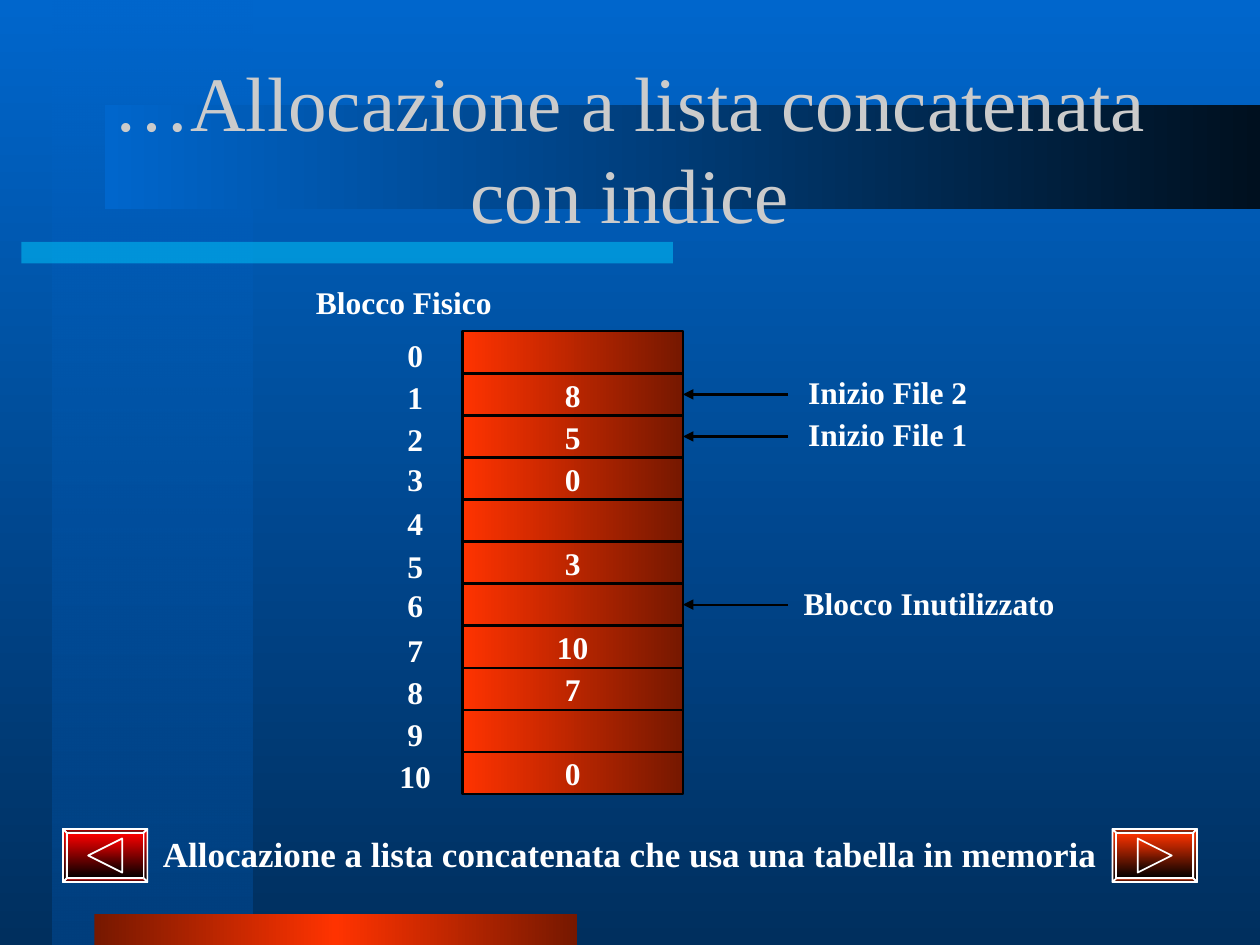
from lxml import etree
from pptx import Presentation
from pptx.dml.color import RGBColor
from pptx.enum.shapes import MSO_CONNECTOR, MSO_SHAPE
from pptx.enum.text import MSO_ANCHOR, MSO_AUTO_SIZE, PP_ALIGN
from pptx.oxml.ns import qn
from pptx.util import Inches, Pt

RECT = MSO_SHAPE.RECTANGLE
STRAIGHT = MSO_CONNECTOR.STRAIGHT
MIDDLE = MSO_ANCHOR.MIDDLE
NO_AUTOSIZE = MSO_AUTO_SIZE.NONE
CENTER = PP_ALIGN.CENTER

FONT = "Times New Roman"
WHITE, BLACK, GRAY = "FFFFFF", "000000", "CBCBCB"
BLUE, RED, DARK_RED = "0066CC", "FF3300", "761800"
DOWN, ACROSS = 270, 0
LINE_WIDTH = Pt(1.25)
LABEL_W, LABEL_H = 0.75, 0.46

ROWS = ["", "8", "5", "0", "", "3", "", "10", "7", "", "0"]
POINTERS = [  # row, label, label left
    (1, "Inizio File 2", 6.67),
    (2, "Inizio File 1", 6.67),
    (6, "Blocco Inutilizzato", 7),
]
RAISED_NUMBERS = (3, 6)


def rgb(color):
    return RGBColor.from_string(color)


def add_alpha(color_element, percent):
    etree.SubElement(color_element, qn("a:alpha"), val=str(percent * 1000))


def set_gradient(fill, element, stops, angle):
    """Fill with (position %, colour, opacity %) stops; element holds the fill."""
    fill.gradient()
    fill.gradient_angle = angle
    stop_list = element.find(".//" + qn("a:gsLst"))
    for old in list(stop_list):
        stop_list.remove(old)
    for position, color, opacity in stops:
        gs = etree.SubElement(stop_list, qn("a:gs"), pos=str(position * 1000))
        clr = etree.SubElement(gs, qn("a:srgbClr"), val=color)
        if opacity < 100:
            add_alpha(clr, opacity)


def style_shape(sp, stops, angle, line=None, width=LINE_WIDTH):
    sp.shadow.inherit = False
    set_gradient(sp.fill, sp._element, stops, angle)
    if line:
        sp.line.color.rgb = rgb(line)
        sp.line.width = width
    else:
        sp.line.fill.background()


def two_stops(start, end):
    return [(0, start, 100), (100, end, 100)]


def add_rect(s, x, y, w, h):
    return s.shapes.add_shape(RECT, Inches(x), Inches(y), Inches(w), Inches(h))


def write_text(sp, text, size=18, color=WHITE, bold=True, wrap=False, inset=0.05):
    tf = sp.text_frame
    tf.word_wrap = wrap
    tf.auto_size = NO_AUTOSIZE
    tf.vertical_anchor = MIDDLE
    tf.margin_left = tf.margin_right = Inches(inset)
    tf.margin_top = tf.margin_bottom = Inches(0.05)
    p = tf.paragraphs[0]
    p.alignment = CENTER
    r = p.add_run()
    r.text = text
    r.font.name = FONT
    r.font.size = Pt(size)
    r.font.bold = bold
    r.font.color.rgb = rgb(color)


def add_label(s, text, x, y, w=LABEL_W, h=LABEL_H, **style):
    sp = s.shapes.add_textbox(Inches(x), Inches(y), Inches(w), Inches(h))
    write_text(sp, text, **style)


def add_backdrop(s):
    set_gradient(s.background.fill, s.element, two_stops(BLUE, "002F5E"), DOWN)
    column = add_rect(s, 0.42, 0, 1.58, 7.5)
    style_shape(column, [(0, BLUE, 50), (100, "003F7E", 100)], DOWN)

    rule = add_rect(s, 0.17, 1.92, 5.17, 0.17)
    rule.shadow.inherit = False
    rule.fill.solid()
    rule.fill.fore_color.rgb = rgb("00CCFF")
    add_alpha(rule._element.spPr.find(".//" + qn("a:srgbClr")), 50)
    rule.line.fill.background()

    footer = add_rect(s, 0.75, 7.25, 3.83, 0.25)
    style_shape(footer, [(0, DARK_RED, 100), (50, RED, 100), (100, DARK_RED, 100)], ACROSS)
    style_shape(add_rect(s, 0.83, 0.83, 9.17, 0.83), two_stops(BLUE, "00101F"), ACROSS)


def add_polygon(s, points, color):
    start, *rest = [(Inches(x), Inches(y)) for x, y in points]
    builder = s.shapes.build_freeform(*start)
    builder.add_line_segments(rest, close=True)
    style_shape(builder.convert_to_shape(), two_stops(color, BLACK), DOWN, WHITE, Pt(1))


def add_nav_button(s, x, y, w, h, color, forward):
    """Bevelled button with a triangle that points right if forward, else left."""
    def corners(inset):
        left, top, right, bottom = x + inset, y + inset, x + w - inset, y + h - inset
        return [(left, top), (right, top), (right, bottom), (left, bottom)]

    outer, inner = corners(0), corners(0.03)
    add_polygon(s, outer, color)
    for i in range(4):
        j = (i + 1) % 4
        add_polygon(s, [outer[i], outer[j], inner[j], inner[i]], color)
    add_polygon(s, inner, color)

    cy, half = y + h / 2, 0.135
    base, tip = (x + 0.2, x + 0.47) if forward else (x + 0.47, x + 0.2)
    add_polygon(s, [(tip, cy), (base, cy - half), (base, cy + half)], color)


def add_pointer(s, cell, x, y):
    line = s.shapes.add_connector(STRAIGHT, Inches(x), Inches(y), Inches(x), Inches(y))
    line.end_connect(cell, 3)
    line.line.color.rgb = rgb(BLACK)
    line.line.width = LINE_WIDTH
    etree.SubElement(line.line._get_or_add_ln(), qn("a:tailEnd"), type="triangle")
    etree.SubElement(line._element.spPr, qn("a:effectLst"))


def add_block_table(s, x, y, w, h):
    """Numbered stack of disk blocks with pointers on its right."""
    row_h = h / len(ROWS)
    number_x = x - LABEL_W
    add_label(s, "Blocco Fisico", number_x - 0.09, y - LABEL_H)
    cells = []
    for i, value in enumerate(ROWS):
        top = y + i * row_h
        cell = add_rect(s, x, top, w, row_h)
        style_shape(cell, two_stops(RED, DARK_RED), ACROSS, BLACK)
        if value:
            write_text(cell, value)
        cells.append(cell)
        raised = 0.02 if i in RAISED_NUMBERS else 0
        add_label(s, str(i), number_x, top - 0.04 - raised)
    for row, text, label_x in POINTERS:
        top = y + row * row_h
        add_pointer(s, cells[row], x + w + 0.83, top + row_h / 2)
        add_label(s, text, label_x, top - 0.08)


def main():
    prs = Presentation()
    prs.slide_width, prs.slide_height = Inches(10), Inches(7.5)
    s = prs.slides.add_slide(prs.slide_layouts[6])
    add_backdrop(s)
    add_nav_button(s, 0.5, 6.58, 0.67, 0.42, "FF0000", forward=False)
    add_nav_button(s, 8.83, 6.58, 0.67, 0.42, RED, forward=True)
    add_label(s, "…Allocazione a lista concatenata con indice", 0.75, 0.54, 8.5, 1.25,
              size=44, color=GRAY, bold=False, wrap=True, inset=0.1)
    add_block_table(s, 3.67, 2.63, 1.75, 3.67)
    add_label(s, "Allocazione a lista concatenata che usa una tabella in memoria",
              1.25, 6.54, 7.5, size=20)
    prs.save("out.pptx")


if __name__ == "__main__":
    main()
